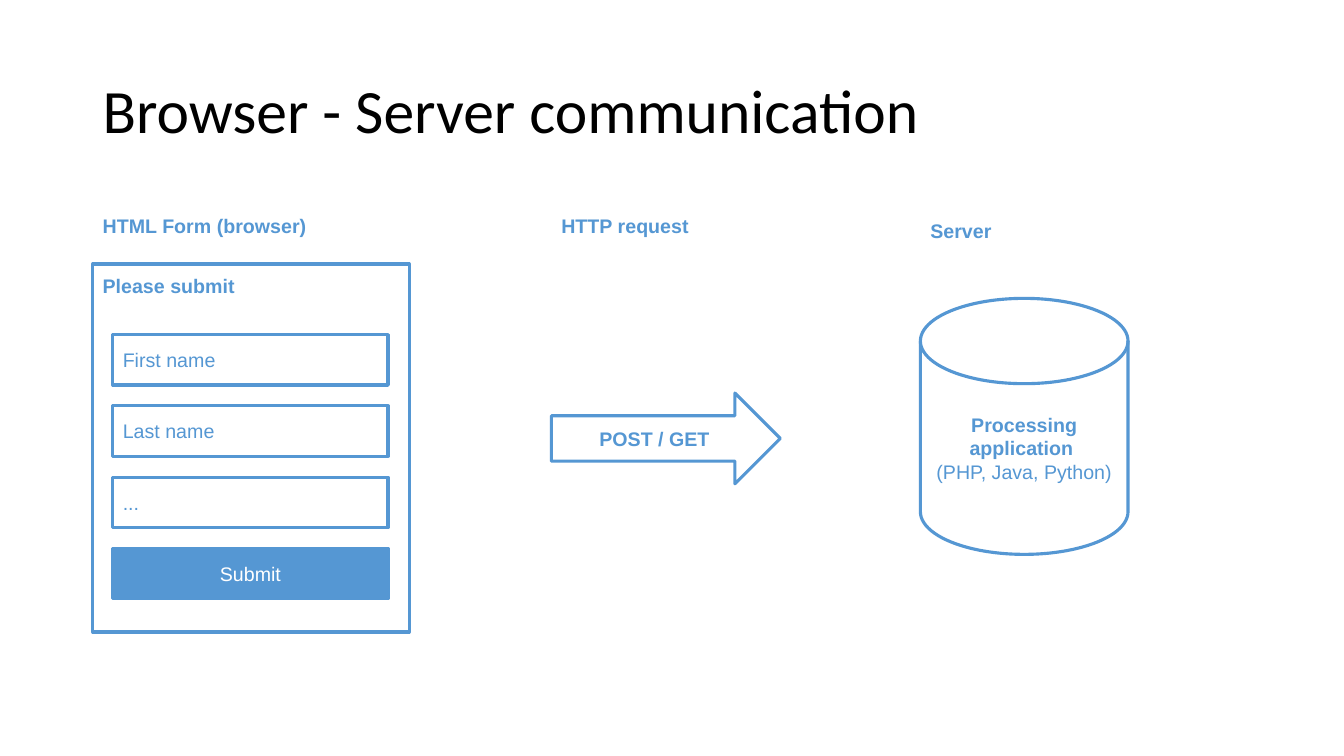
from pptx import Presentation
from pptx.dml.color import RGBColor
from pptx.enum.shapes import MSO_SHAPE
from pptx.enum.text import MSO_ANCHOR, PP_ALIGN
from pptx.util import Inches, Pt

BLUE = RGBColor(0x55, 0x97, 0xD3)
WHITE = RGBColor(0xFF, 0xFF, 0xFF)
BLACK = RGBColor(0, 0, 0)
RECT = MSO_SHAPE.RECTANGLE
DISK = MSO_SHAPE.FLOWCHART_MAGNETIC_DISK
ARROW = MSO_SHAPE.RIGHT_ARROW
TOP, MIDDLE = MSO_ANCHOR.TOP, MSO_ANCHOR.MIDDLE
LEFT, CENTER = PP_ALIGN.LEFT, PP_ALIGN.CENTER

deck = Presentation()
deck.slide_width = Inches(13.33)
deck.slide_height = Inches(7.5)
slide = deck.slides.add_slide(deck.slide_layouts[6])

# Columns, rows and sizes are percentages of the slide
FORM, REQUEST, SERVER = 6.9, 41.03, 68.48
FIELD, FIRST, STEP = 8.4, 44.27, 9.42


def write(shape, text, color=BLUE, bold=False, align=LEFT, anchor=TOP):
    """Fill a shape with 14 pt Arial text and return its text frame."""
    frame = shape.text_frame
    frame.text = text
    frame.word_wrap = True
    frame.vertical_anchor = anchor
    frame.margin_left = frame.margin_right = Inches(0.1)
    frame.margin_top = frame.margin_bottom = Inches(0.1)
    for para in frame.paragraphs:
        para.alignment = align
        for run in para.runs:
            run.font.name = "Arial"
            run.font.size = Pt(14)
            run.font.bold = bold
            run.font.color.rgb = color
    return frame


def place(kind, left, top, width, height, fill=WHITE):
    """Add a text box, or a blue-edged shape of the given kind."""
    across, down = deck.slide_width / 100, deck.slide_height / 100
    box = [int(n) for n in (left * across, top * down,
                            width * across, height * down)]
    if kind is None:
        return slide.shapes.add_textbox(*box)
    shape = slide.shapes.add_shape(kind, *box)
    shape.shadow.inherit = False
    shape.fill.solid()
    shape.fill.fore_color.rgb = fill
    shape.line.color.rgb = BLUE
    shape.line.width = Pt(2.25)
    return shape


# Title
title = write(place(None, FORM, 5.33, 86.25, 19.33),
              "Browser - Server communication", BLACK, anchor=MIDDLE)
title.margin_top = title.margin_bottom = Inches(0.05)
title.paragraphs[0].line_spacing = 0.9
font = title.paragraphs[0].runs[0].font
font.name, font.size = "Calibri", Pt(44)

# Column headings
for text, left, top, width in (
    ("HTML Form (browser)", FORM, 26.93, 17.4),
    ("HTTP request", REQUEST, 26.93, 13.35),
    ("Server", SERVER, 27.6, 10.8),
):
    write(place(None, left, top, width, 5.73), text, bold=True)

# Form with its fields and button
write(place(RECT, FORM, 34.93, 23.55, 48.67), "Please submit", bold=True)
for row, (text, fill, color, align) in enumerate((
    ("First name", WHITE, BLUE, LEFT),
    ("Last name", WHITE, BLUE, LEFT),
    ("...", WHITE, BLUE, LEFT),
    ("Submit", BLUE, WHITE, CENTER),
)):
    field = place(RECT, FIELD, FIRST + row * STEP, 20.48, 6.67, fill)
    write(field, text, color, align=align, anchor=MIDDLE)

# Request arrow
write(place(ARROW, REQUEST, 52, 17.03, 12), "POST / GET",
      bold=True, align=CENTER, anchor=MIDDLE)

# Server
server = write(place(DISK, SERVER, 39.47, 15.45, 33.87),
               "Processing application \n(PHP, Java, Python)",
               bold=True, align=CENTER, anchor=MIDDLE)
server.paragraphs[1].runs[0].font.bold = False

deck.save("out.pptx")
